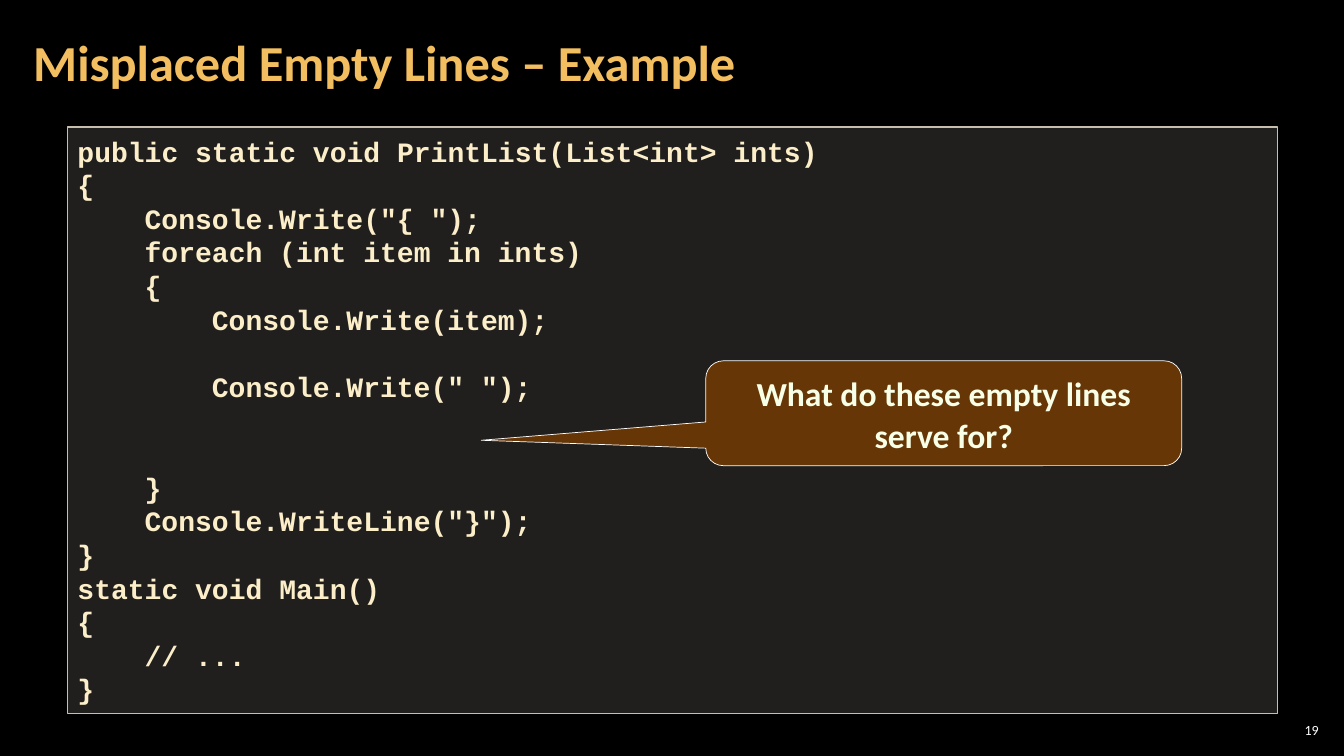
from lxml.etree import SubElement
from pptx import Presentation
from pptx.dml.color import RGBColor
from pptx.enum.shapes import MSO_SHAPE
from pptx.enum.text import MSO_ANCHOR, PP_ALIGN
from pptx.oxml.ns import qn
from pptx.util import Inches, Pt

CODE_FONT = {"name": "Courier New", "size": Pt(20), "bold": True}
TITLE_FONT = {"name": "Calibri", "size": Pt(36), "bold": True}
CALLOUT_FONT = {"name": "Calibri", "size": Pt(24), "bold": True}
NUMBER_FONT = {"name": "Calibri", "size": Pt(10)}
LINE_PITCH = 24
INDENT_STEP = 48
CODE = [
    (0, 0, "public static void PrintList(List<int> ints)"),
    (0, 0, "{"),
    (1, 0, 'Console.Write("{ ");'),
    (1, 0, "foreach (int item in ints)"),
    (1, 0, "{"),
    (2, 0, "Console.Write(item);"),
    (2, 1, 'Console.Write(" ");'),
    (1, 2, "}"),
    (1, 0, 'Console.WriteLine("}");'),
    (0, 0, "}"),
    (0, 0, "static void Main()"),
    (0, 0, "{"),
    (1, 0, "// ..."),
    (0, 0, "}"),
]


def paint(color_format, color):
    """Set a colour from a hex string."""
    color_format.rgb = RGBColor.from_string(color)


def set_frame(tf, **values):
    """Set wrapping and the given text frame values."""
    for name, value in {"word_wrap": True, **values}.items():
        setattr(tf, name, value)


def write(p, text, font, color, **values):
    """Write one formatted run and set the paragraph values."""
    r = p.add_run()
    r.text = text
    for name, value in font.items():
        setattr(r.font, name, value)
    paint(r.font.color, color)
    for name, value in values.items():
        setattr(p, name, value)


def add_panel(s, kind, box, fill, line, width):
    """Add a filled and outlined shape without shadow."""
    sp = s.shapes.add_shape(kind, *map(Inches, box))
    sp.shadow.inherit = False
    sp.fill.solid()
    paint(sp.fill.fore_color, fill)
    paint(sp.line.color, line)
    sp.line.width = Pt(width)
    return sp


def add_label(s, box, text, font, color, inset, **values):
    """Add a vertically centred single-paragraph text box."""
    tf = s.shapes.add_textbox(*map(Inches, box)).text_frame
    set_frame(tf, vertical_anchor=MSO_ANCHOR.MIDDLE, margin_left=Inches(inset),
              margin_right=Inches(inset), margin_top=Inches(0.04),
              margin_bottom=Inches(0.04))
    write(tf.paragraphs[0], text, font, color, **values)


def add_code(s, box):
    """Add the translucent code panel with indented lines and gaps."""
    sp = add_panel(s, MSO_SHAPE.RECTANGLE, box, "D9D5C7", "C7BFAC", 1)
    tint = sp.fill._xPr.find(qn("a:solidFill"))[0]
    SubElement(tint, qn("a:alpha")).set("val", "15000")
    tf = sp.text_frame
    set_frame(tf, vertical_anchor=MSO_ANCHOR.TOP, margin_top=Inches(0.07))
    for i, (level, gap, text) in enumerate(CODE):
        p = tf.add_paragraph() if i else tf.paragraphs[0]
        write(p, text, CODE_FONT, "FBEEC9", alignment=PP_ALIGN.LEFT,
              line_spacing=Pt(LINE_PITCH), space_before=Pt(gap * LINE_PITCH))
        p._p.get_or_add_pPr().set("marL", str(Pt(level * INDENT_STEP)))


def add_callout(s, box):
    """Add the question balloon pointing at the empty lines."""
    sp = add_panel(s, MSO_SHAPE.ROUNDED_RECTANGULAR_CALLOUT, box,
                   "663606", "FFFFFF", 0.5)
    for i, value in enumerate((-0.972, 0.258, 0.167)):
        sp.adjustments[i] = value
    set_frame(sp.text_frame, vertical_anchor=MSO_ANCHOR.MIDDLE)
    write(sp.text_frame.paragraphs[0], "What do these empty lines serve for?",
          CALLOUT_FONT, "F7FFE7", alignment=PP_ALIGN.CENTER, line_spacing=Pt(30))


def main():
    """Build and save the slide."""
    prs = Presentation()
    prs.slide_width, prs.slide_height = Inches(13.33), Inches(7.5)
    s = prs.slides.add_slide(prs.slide_layouts[6])
    s.background.fill.solid()
    paint(s.background.fill.fore_color, "000000")
    add_label(s, (12.65, 7.14, 0.47, 0.21), "19", NUMBER_FONT, "FFFFFF", 0.04,
              alignment=PP_ALIGN.RIGHT)
    add_label(s, (0.21, 0.04, 10.47, 1.21), "Misplaced Empty Lines – Example",
              TITLE_FONT, "F3BE60", 0.12, line_spacing=0.9)
    add_code(s, (0.67, 1.26, 12, 5.82))
    add_callout(s, (7, 3.58, 4.72, 1.04))
    prs.save("out.pptx")


if __name__ == "__main__":
    main()
